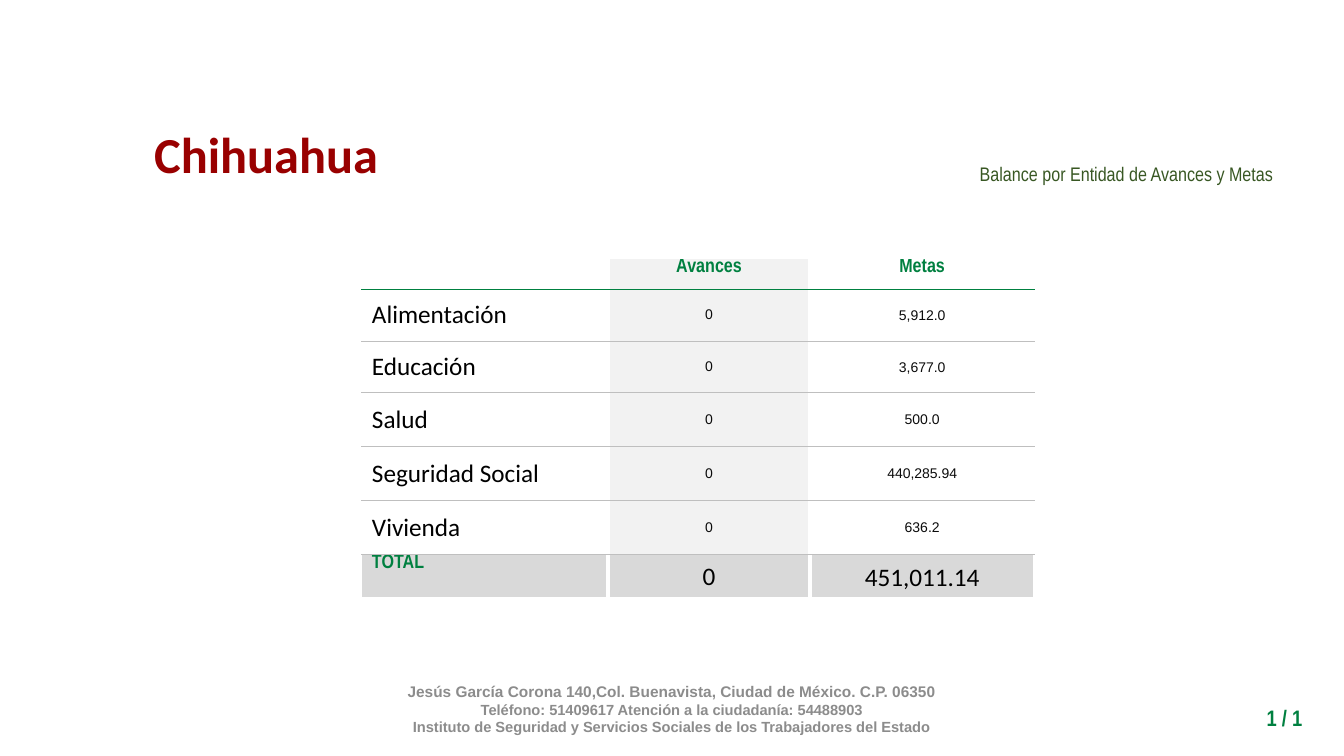
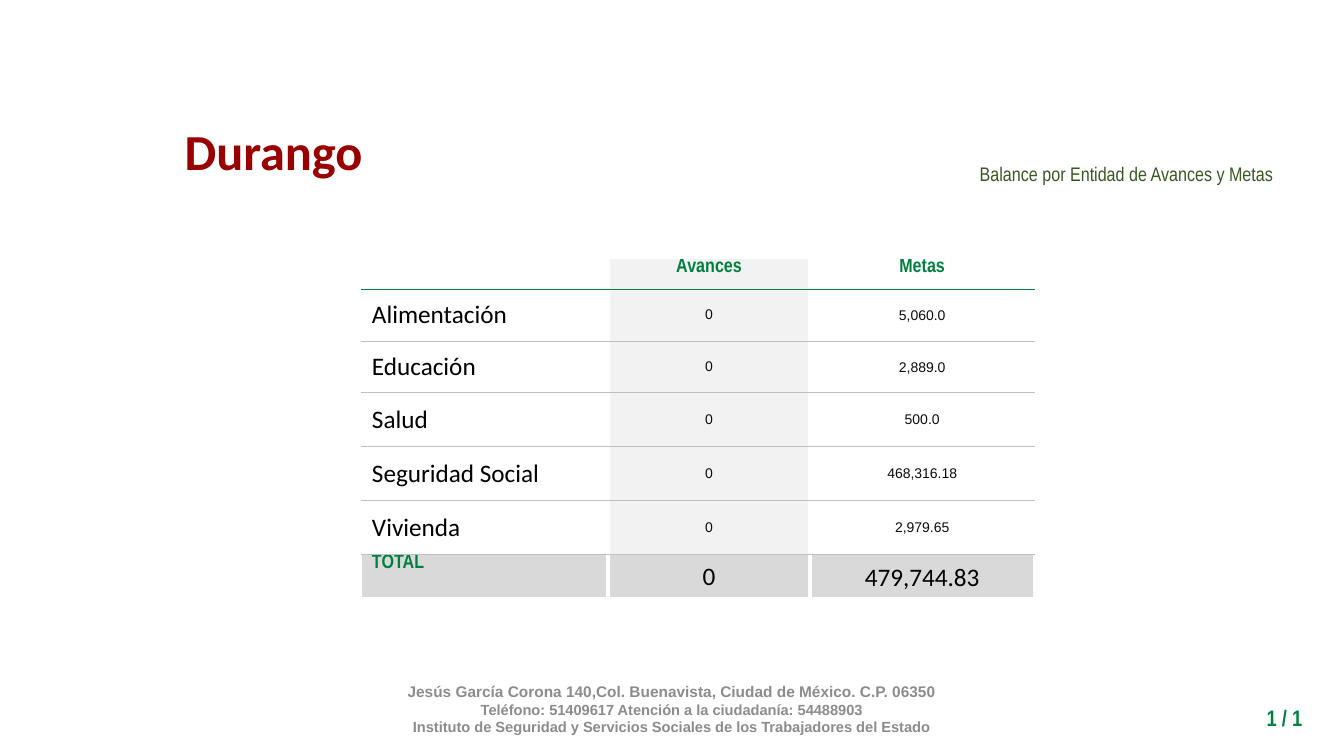
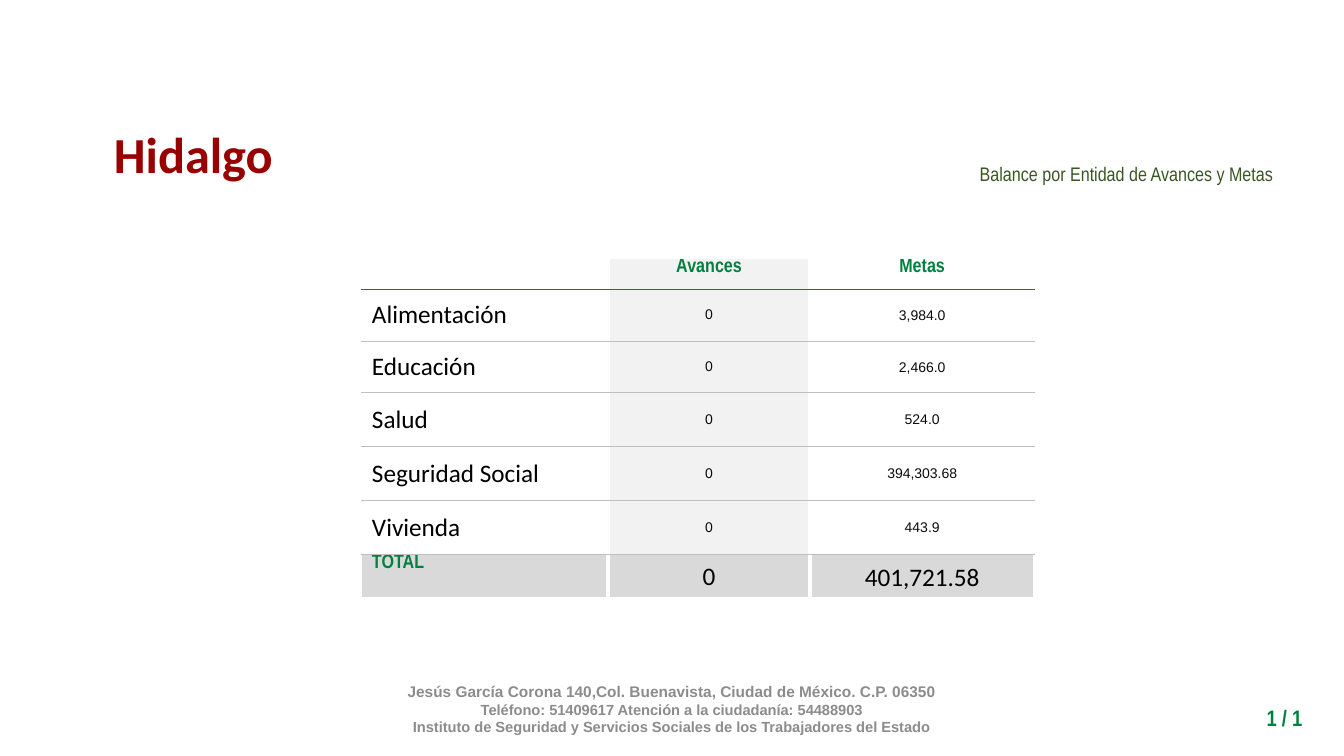
"""Build the state balance slides: one table of progress and goals per state."""
from pptx import Presentation
from pptx.dml.color import RGBColor
from pptx.enum.text import MSO_ANCHOR, PP_ALIGN
from pptx.oxml import parse_xml
from pptx.oxml.ns import nsdecls
from pptx.util import Cm, Pt

LEFT, MID, RIGHT = PP_ALIGN.LEFT, PP_ALIGN.CENTER, PP_ALIGN.RIGHT
TOP, CENTER = MSO_ANCHOR.TOP, MSO_ANCHOR.MIDDLE

HUES = {
    "red": "990000", "green": "008040", "olive": "385723", "gray": "8C8C8C",
    "black": "000000", "ink": "0B0B0B", "rule": "BFBFBF", "white": "FFFFFF",
    "pale": "F2F2F2", "total": "D9D9D9",
}
FORMS = {
    "title": ("red", {"name": "Calibri", "size": Pt(36), "bold": True}),
    "topic": ("olive", {"name": "Arial Narrow", "size": Pt(14)}),
    "page": ("green", {"name": "Arial Narrow", "size": Pt(16), "bold": True}),
    "street": ("gray", {"name": "Arial", "size": Pt(11), "bold": True}),
    "foot": ("gray", {"name": "Arial", "size": Pt(10.5), "bold": True}),
    "head": ("green", {"name": "Arial Narrow", "size": Pt(14), "bold": True}),
    "label": ("black", {"name": "Calibri", "size": Pt(18), "bold": False}),
    "value": ("ink", {"name": "Arial", "size": Pt(10), "bold": False}),
}
FOOT = [
    ("Jesús García Corona 140,Col. Buenavista, Ciudad de México. C.P. 06350", "street"),
    ("Teléfono: 51409617 Atención a la ciudadanía: 54488903", "foot"),
    ("Instituto de Seguridad y Servicios Sociales de los Trabajadores del Estado", "foot"),
]
TOPICS = ["Alimentación", "Educación", "Salud", "Seguridad Social", "Vivienda"]
STATES = [
    ("Chihuahua", (3.6, 2.97, 6.22, 1.8),
     ["5,912.0", "3,677.0", "500.0", "440,285.94", "636.2", "451,011.14"]),
    ("Durango", (4.37, 2.9, 5.05, 1.8),
     ["5,060.0", "2,889.0", "500.0", "468,316.18", "2,979.65", "479,744.83"]),
    ("Hidalgo", (2.59, 2.97, 4.57, 1.8),
     ["3,984.0", "2,466.0", "524.0", "394,303.68", "443.9", "401,721.58"]),
]
COLS = [6.2, 5.1, 5.64]
ROWS = [0.79, 1.3, 1.3, 1.36, 1.36, 1.36, 1.13]
LAST = len(ROWS) - 1
RULES = [("green", 0.25)] + [("rule", 0.5)] * (LAST - 1) + [("white", 3)]
SPLIT = ("white", 3)


def write(para, text, form, align):
    hue, looks = FORMS[form]
    para.alignment = align
    run = para.add_run()
    run.text = text
    for name, value in looks.items():
        setattr(run.font, name, value)
    run.font.color.rgb = RGBColor.from_string(HUES[hue])


def box(slide, place, lines, align, **looks):
    frame = slide.shapes.add_textbox(*map(Cm, place)).text_frame
    for name, value in {"word_wrap": True, **looks}.items():
        setattr(frame, name, value)
    for num, (text, form) in enumerate(lines):
        para = frame.add_paragraph() if num else frame.paragraphs[0]
        write(para, text, form, align)
    return frame


deck = Presentation()
deck.slide_width, deck.slide_height = Cm(33.87), Cm(19.05)

for state, place, goals in STATES:
    slide = deck.slides.add_slide(deck.slide_layouts[6])
    box(slide, (7.32, 17.58, 19.23, 1.02), FOOT, MID,
        vertical_anchor=CENTER, margin_bottom=Cm(0.58))

    grid = slide.shapes.add_table(len(ROWS), len(COLS), Cm(9.12), Cm(6.5),
                                  Cm(sum(COLS)), Cm(sum(ROWS))).table
    grid.first_row = grid.horz_banding = False
    for col, width in zip(grid.columns, COLS):
        col.width = Cm(width)
    for row, height in zip(grid.rows, ROWS):
        row.height = Cm(height)

    data = [("", "Avances", "Metas")]
    data += [(name, "0", goal) for name, goal in zip(TOPICS + ["TOTAL"], goals)]
    for r, line in enumerate(data):
        for c, text in enumerate(line):
            cell = grid.cell(r, c)
            edges = {
                "L": SPLIT if c else None,
                "R": SPLIT if c < len(COLS) - 1 else None,
                "T": RULES[r - 1] if r else None,
                "B": RULES[r],
            }
            props = cell._tc.get_or_add_tcPr()
            for side, edge in edges.items():
                if edge:
                    hue, width = edge
                    props.append(parse_xml(
                        f'<a:ln{side} {nsdecls("a")} w="{Pt(width)}"><a:solidFill>'
                        f'<a:srgbClr val="{HUES[hue]}"/></a:solidFill></a:ln{side}>'))
            fill = "total" if r == LAST else "pale" if c == 1 else None
            if fill:
                cell.fill.solid()
                cell.fill.fore_color.rgb = RGBColor.from_string(HUES[fill])
            else:
                cell.fill.background()

            head = r == 0 or (r == LAST and c == 0)
            looks = {"vertical_anchor": TOP if head else CENTER}
            if head:
                looks.update(margin_top=0, margin_bottom=0)
            elif c == 2:
                looks.update(margin_left=Cm(0.03), margin_right=Cm(0.03),
                             margin_top=Cm(0.03), margin_bottom=0)
            for name, value in looks.items():
                setattr(cell, name, value)
            form = "head" if head else "label" if c == 0 or r == LAST else "value"
            if text:
                write(cell.text_frame.paragraphs[0], text, form, MID if c else LEFT)

    topic = box(slide, (17, 3.12, 15.34, 2.41),
                [("Balance por Entidad de Avances y Metas", "topic")], RIGHT,
                vertical_anchor=CENTER)
    topic.paragraphs[0].line_spacing = 1.15
    box(slide, (29.87, 17.63, 3.2, 0.94), [("1 / 1", "page")], RIGHT)
    box(slide, place, [(state, "title")], MID, word_wrap=False)

deck.save("out.pptx")
